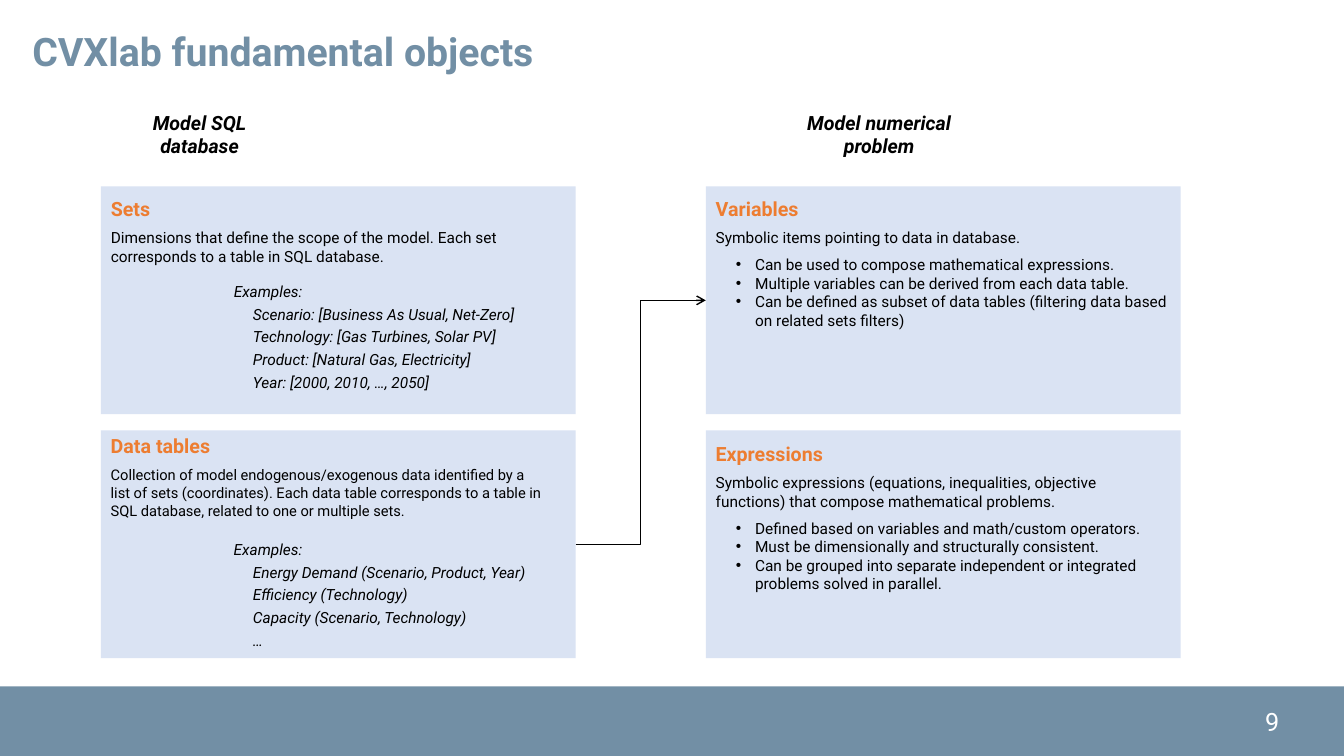
from dataclasses import dataclass
from typing import Any

from lxml import etree
from pptx import Presentation, util as u
from pptx.dml.color import RGBColor
from pptx.enum import shapes, text
from pptx.oxml.ns import qn


@dataclass(frozen=True)
class Theme:
    face: str = "Roboto"
    slate: str = "728FA5"
    pale: str = "DAE3F3"
    accent: str = "ED7D31"
    ink: str = "000000"
    white: str = "FFFFFF"
    title: float = 28
    page: float = 18
    head: float = 14
    body: float = 11
    dense: float = 10.5


@dataclass(frozen=True)
class Box:
    left: float
    top: float
    width: float
    height: float

    def frame(self) -> tuple[u.Length, ...]:
        return tuple(u.Inches(v) for v in (self.left, self.top, self.width, self.height))


@dataclass(frozen=True)
class Line:
    words: str
    size: float
    color: str
    bold: bool = False
    slant: bool = False
    before: float = 0
    after: float = 0
    margin: float = 0
    hang: float = 0
    center: bool = False


@dataclass(frozen=True)
class Card:
    panel: Box
    note: Box
    head: str
    intro: str
    size: float
    bullets: tuple[str, ...] = ()
    cases: tuple[str, ...] = ()
    sample: Box | None = None


LOOK = Theme()
COLS = (1, 7)
ROWS = (1.85, 4.27)
WIDE, HIGH = 4.71, 2.26


def panel(col: int, row: int) -> Box:
    return Box(COLS[col], ROWS[row], WIDE, HIGH)


CARDS = (
    Card(panel(0, 0), Box(COLS[0], 1.9, WIDE, 0.79), "Sets",
         "Dimensions that define the scope of the model. Each set corresponds to a table in SQL database.",
         LOOK.body,
         cases=("Scenario: [Business As Usual, Net-Zero]", "Technology: [Gas Turbines, Solar PV]",
                "Product: [Natural Gas, Electricity]", "Year: [2000, 2010, …, 2050]"),
         sample=Box(2.22, 2.75, 3.49, 1.19)),
    Card(panel(0, 1), Box(COLS[0], 4.26, 4.53, 0.95), "Data tables",
         "Collection of model endogenous/exogenous data identified by a list of sets (coordinates). "
         "Each data table corresponds to a table in SQL database, related to one or multiple sets.",
         LOOK.dense,
         cases=("Energy Demand (Scenario, Product, Year)", "Efficiency (Technology)",
                "Capacity (Scenario, Technology)", "…"),
         sample=Box(2.22, 5.31, 3.44, 1.19)),
    Card(panel(1, 0), Box(COLS[1], 1.9, WIDE, 1.43), "Variables",
         "Symbolic items pointing to data in database.", LOOK.body,
         bullets=("Can be used to compose mathematical expressions.",
                  "Multiple variables can be derived from each data table.",
                  "Can be defined as subset of data tables (filtering data based on related sets filters)")),
    Card(panel(1, 1), Box(COLS[1], 4.33, 4.67, 1.62), "Expressions",
         "Symbolic expressions (equations, inequalities, objective functions) that compose mathematical problems.",
         LOOK.body,
         bullets=("Defined based on variables and math/custom operators.",
                  "Must be dimensionally and structurally consistent.",
                  "Can be grouped into separate independent or integrated problems solved in parallel.")),
)
HEADS = (
    (Box(1.2, 1.05, 1.56, 0.57), "Model SQL database"),
    (Box(7.85, 1.05, 1.74, 0.57), "Model numerical problem"),
)


def apply(item: Any, values: dict[str, Any]) -> None:
    for name, value in values.items():
        setattr(item, name, value)


def fill_text(frame: Any, lines: list[Line]) -> None:
    apply(frame, {"word_wrap": True, "auto_size": text.MSO_AUTO_SIZE.NONE,
                  "vertical_anchor": text.MSO_ANCHOR.TOP})
    for n, line in enumerate(lines):
        para = frame.add_paragraph() if n else frame.paragraphs[0]
        props = para._p.get_or_add_pPr()
        if line.margin:
            props.set("marL", str(u.Inches(line.margin)))
            props.set("indent", str(u.Inches(line.hang)))
        if line.hang:
            etree.SubElement(props, qn("a:buFont"), typeface="Arial")
            etree.SubElement(props, qn("a:buChar"), char="•")
        apply(para, {"space_before": u.Pt(line.before), "space_after": u.Pt(line.after),
                     "alignment": text.PP_ALIGN.CENTER if line.center else text.PP_ALIGN.LEFT})
        run = para.add_run()
        run.text = line.words
        apply(run.font, {"name": LOOK.face, "size": u.Pt(line.size),
                         "bold": line.bold, "italic": line.slant})
        run.font.color.rgb = RGBColor.from_string(line.color)


def add_text(slide: Any, box: Box, lines: list[Line]) -> None:
    fill_text(slide.shapes.add_textbox(*box.frame()).text_frame, lines)


def add_block(slide: Any, box: Box, color: str) -> Any:
    block = slide.shapes.add_shape(shapes.MSO_SHAPE.RECTANGLE, *box.frame())
    block.shadow.inherit = False
    block.fill.solid()
    block.fill.fore_color.rgb = RGBColor.from_string(color)
    block.line.fill.background()
    return block


def add_card(slide: Any, card: Card) -> Any:
    block = add_block(slide, card.panel, LOOK.pale)
    lines = [Line(card.head, LOOK.head, LOOK.accent, bold=True),
             Line(card.intro, card.size, LOOK.ink, before=6, after=6 if card.bullets else 0)]
    lines += [Line(b, card.size, LOOK.ink, margin=0.39, hang=-0.19) for b in card.bullets]
    add_text(slide, card.note, lines)
    if card.sample:
        cases = [Line("Examples:", LOOK.body, LOOK.ink, slant=True)]
        cases += [Line(c, LOOK.body, LOOK.ink, slant=True, before=3, margin=0.19) for c in card.cases]
        add_text(slide, card.sample, cases)
    return block


def add_link(slide: Any, start: Any, end: Any) -> None:
    link = slide.shapes.add_connector(shapes.MSO_CONNECTOR.ELBOW, 0, 0, 0, 0)
    link.begin_connect(start, 3)
    link.end_connect(end, 1)
    link.line.color.rgb = RGBColor.from_string(LOOK.ink)
    link.line.width = u.Pt(1)
    etree.SubElement(link.line._get_or_add_ln(), qn("a:tailEnd"), type="arrow")
    etree.SubElement(link._element.spPr, qn("a:effectLst"))


def main() -> None:
    deck = Presentation()
    apply(deck, {"slide_width": u.Inches(13.33), "slide_height": u.Inches(7.5)})
    slide = deck.slides.add_slide(deck.slide_layouts[5])
    title = slide.shapes.title
    place = Box(0.22, 0.22, 9.71, 0.57).frame()
    apply(title, dict(zip(("left", "top", "width", "height"), place)))
    fill_text(title.text_frame, [Line("CVXlab fundamental objects", LOOK.title, LOOK.slate, bold=True)])
    add_block(slide, Box(0, 6.81, 13.33, 0.69), LOOK.slate)
    add_text(slide, Box(12.45, 6.96, 0.65, 0.4), [Line("9", LOOK.page, LOOK.white)])
    blocks = {card.head: add_card(slide, card) for card in CARDS}
    for box, words in HEADS:
        add_text(slide, box, [Line(words, LOOK.head, LOOK.ink, bold=True, slant=True, center=True)])
    add_link(slide, blocks["Data tables"], blocks["Variables"])
    deck.save("out.pptx")


if __name__ == "__main__":
    main()
